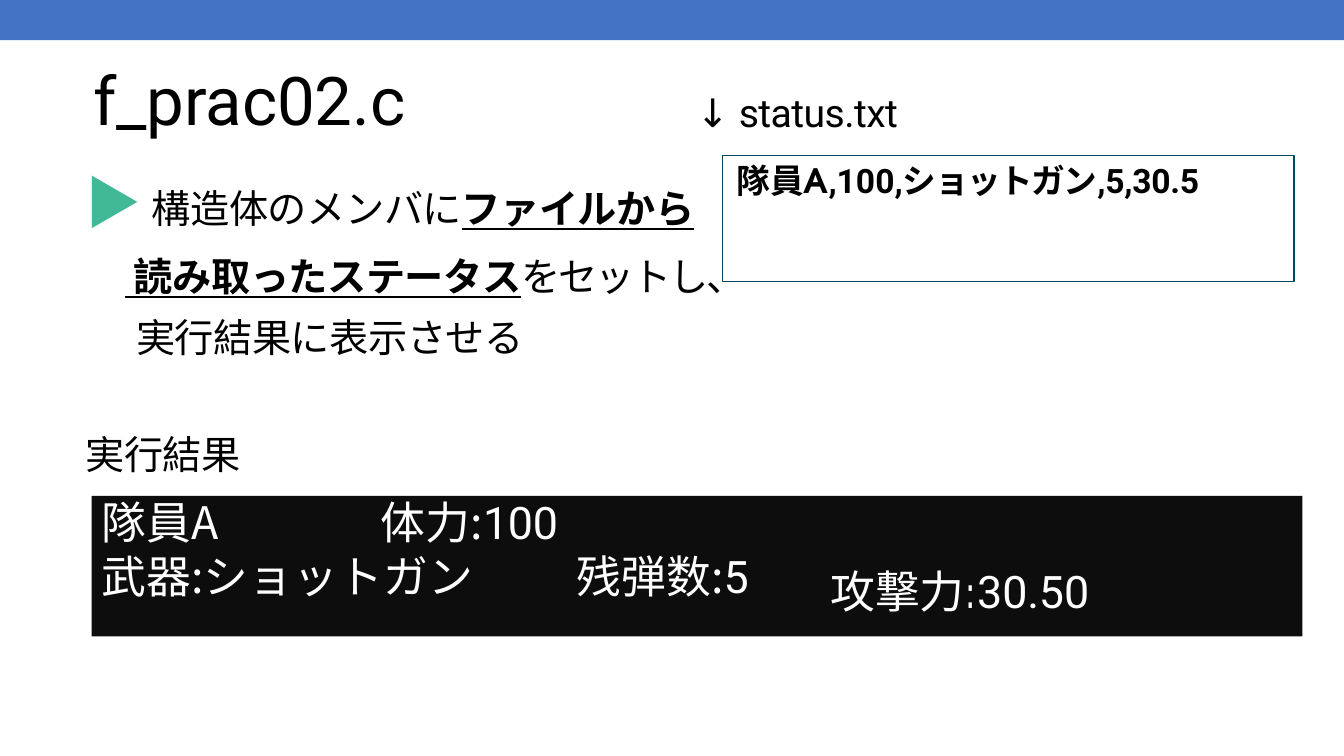
from pptx import Presentation
from pptx.dml.color import RGBColor
from pptx.enum.shapes import MSO_SHAPE
from pptx.enum.text import MSO_ANCHOR, PP_ALIGN
from pptx.oxml.ns import qn
from pptx.util import Pt
from lxml import etree

BLUE = RGBColor(0x44, 0x72, 0xC4)
CONSOLE = RGBColor(0x0D, 0x0D, 0x0D)
GREEN = RGBColor(0x42, 0xB9, 0x96)
TEAL = RGBColor(0x05, 0x46, 0x5F)
BLACK = RGBColor(0, 0, 0)
WHITE = RGBColor(255, 255, 255)
CJK = "Noto Sans CJK JP"
ROBOTO = "Roboto"
GOTHIC = "TeX Gyre Adventor"

prs = Presentation()
prs.slide_width, prs.slide_height = Pt(960), Pt(540)
s = prs.slides.add_slide(prs.slide_layouts[6])


def add_box(left, top, width, height, fill, line=None):
    sp = s.shapes.add_shape(MSO_SHAPE.RECTANGLE, Pt(left), Pt(top), Pt(width), Pt(height))
    sp.shadow.inherit = False
    sp.fill.solid()
    sp.fill.fore_color.rgb = fill
    if line is None:
        sp.line.fill.background()
    else:
        sp.line.color.rgb = line
        sp.line.width = Pt(1)
    return sp


def write(sp, top_inset, size, color, paragraphs, anchor=MSO_ANCHOR.TOP):
    tf = sp.text_frame
    tf.word_wrap = True
    tf.vertical_anchor = anchor
    tf.margin_left = tf.margin_right = tf.margin_bottom = 0
    tf.margin_top = Pt(top_inset)
    for i, (margin, before, runs) in enumerate(paragraphs):
        p = tf.paragraphs[0] if i == 0 else tf.add_paragraph()
        p.alignment = PP_ALIGN.LEFT
        p.space_before = Pt(before)
        p._p.get_or_add_pPr().set("marL", str(Pt(margin)))
        for text, font, spacing in runs:
            r = p.add_run()
            r.text = text
            r.font.size = Pt(size)
            r.font.name = font
            r.font.color.rgb = color
            rPr = r._r.get_or_add_rPr()
            rPr.set("spc", str(round(spacing * 100)))
            etree.SubElement(rPr, qn("a:ea")).set("typeface", font)
    return tf


add_box(0, 0, 960, 28.8, BLUE)
add_box(65.5, 354.2, 864.7, 100.4, CONSOLE)

attack = s.shapes.add_textbox(Pt(593.3), Pt(401.8), Pt(270.7), Pt(39.6))
write(attack, 0.7, 32, WHITE, [
    (0, 1.1, [("攻撃力", CJK, -0.1), (":", GOTHIC, -0.1), ("30.50", ROBOTO, -0.1)]),
])

body = s.shapes.add_textbox(Pt(60.5), Pt(105.1), Pt(483.8), Pt(337.7))
tf = write(body, 14.4, 28, BLACK, [
    (0.7, 14.7, [("▶ ", CJK, -1.7), ("構造体のメンバに", CJK, -0.3), ("ファイルから", CJK, -0.3)]),
    (36.7, 2.5, [(" ", CJK, -1.3), ("読み取ったステータス", CJK, -0.3),
                 ("をセットし、\n", CJK, -1.6), ("実行結果に表示させる", CJK, -0.3)]),
    (0.7, 50, [("実行結果", CJK, -0.4)]),
    (12.2, 12.4, [("隊員", CJK, 0), ("A\t", CJK, -0.5), ("体力", CJK, 0),
                  (":", CJK, -0.2), ("100", ROBOTO, -0.2)]),
    (12.2, 0, [("武器:ショットガン", CJK, 0), ("\t残弾数", CJK, 0),
               (":", CJK, -0.2), ("5", ROBOTO, -0.2)]),
])
intro, task, heading, *console_lines = tf.paragraphs
intro.runs[0].font.size = Pt(40)
intro.runs[0].font.color.rgb = GREEN
for r in (intro.runs[2], *task.runs[:2]):
    r.font.bold = True
    r.font.underline = True
task.line_spacing = Pt(43.8)
task._p.get_or_add_pPr().set("indent", str(Pt(-7.9)))
task.runs[2].text = "をセットし、"
task.add_line_break()
task.runs[3]._r.addprevious(task._p[-1])
for p, tab in zip(console_lines, (199.4, 339.1)):
    tabs = etree.SubElement(p._p.get_or_add_pPr(), qn("a:tabLst"))
    etree.SubElement(tabs, qn("a:tab"), pos=str(Pt(tab)), algn="l")
    for r in p.runs:
        r.font.size = Pt(32)
        r.font.color.rgb = WHITE

title = s.shapes.add_textbox(Pt(66.2), Pt(40.3), Pt(828), Pt(59))
write(title, 0.7, 48, BLACK, [(0.7, 1, [("f_prac02.c", ROBOTO, -0.1)])], MSO_ANCHOR.MIDDLE)

status = add_box(516.2, 110.9, 408.2, 90, WHITE, TEAL)
tf = write(status, 3.6, 24, BLACK, [
    (10.1, 3.4, [("隊員", CJK, -0.2), ("A", GOTHIC, 0), (",100,", ROBOTO, 0),
                 ("ショットガン", CJK, -1), (",5,30.5", ROBOTO, -0.2)]),
])
for r in tf.paragraphs[0].runs:
    r.font.bold = True

file_label = s.shapes.add_textbox(Pt(496.8), Pt(62.6), Pt(240.5), Pt(35.3))
write(file_label, 0.7, 28, BLACK, [
    (0.7, 0.9, [("↓ ", ROBOTO, -0.1), ("status.txt", ROBOTO, -0.4)]),
])

prs.save("out.pptx")
